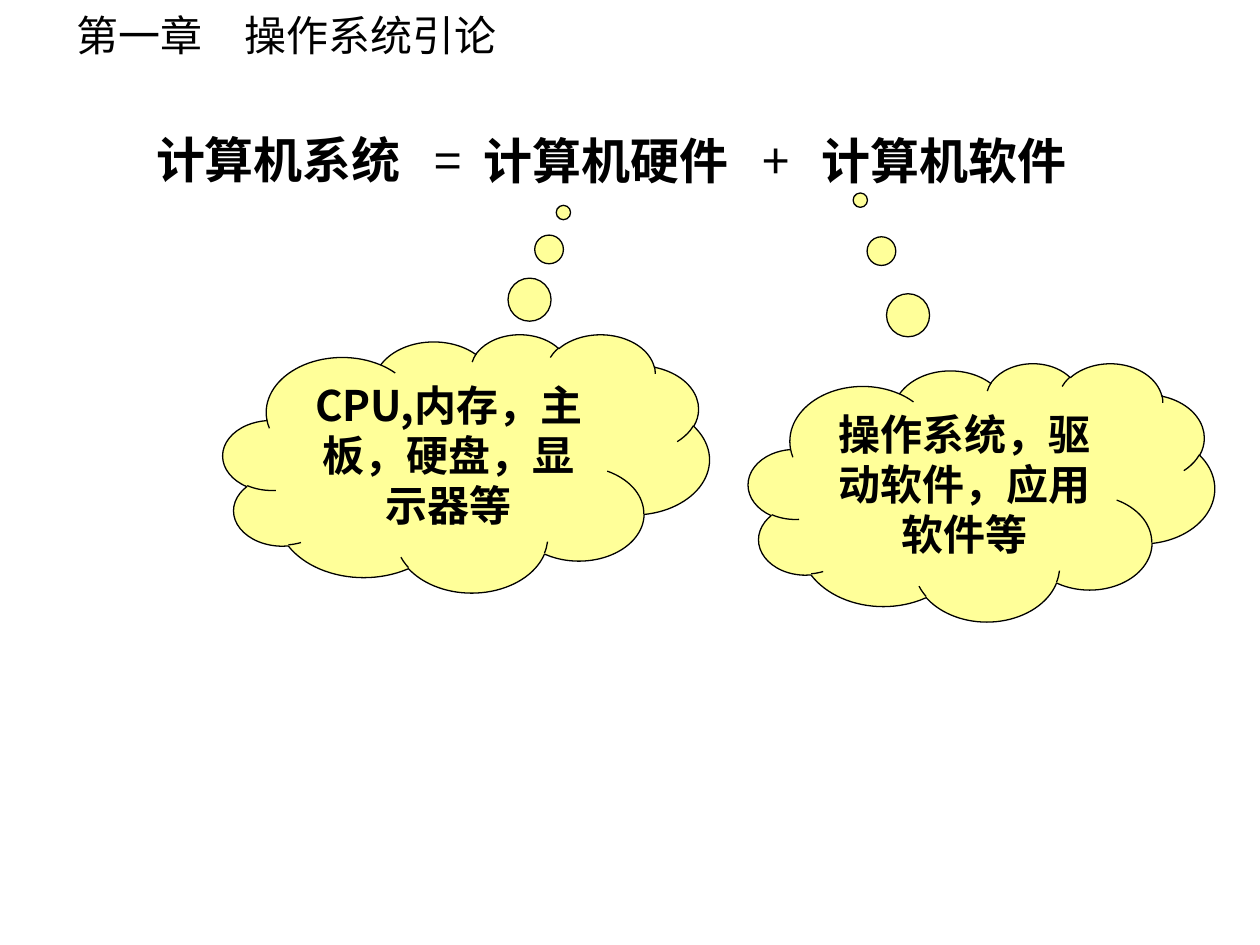
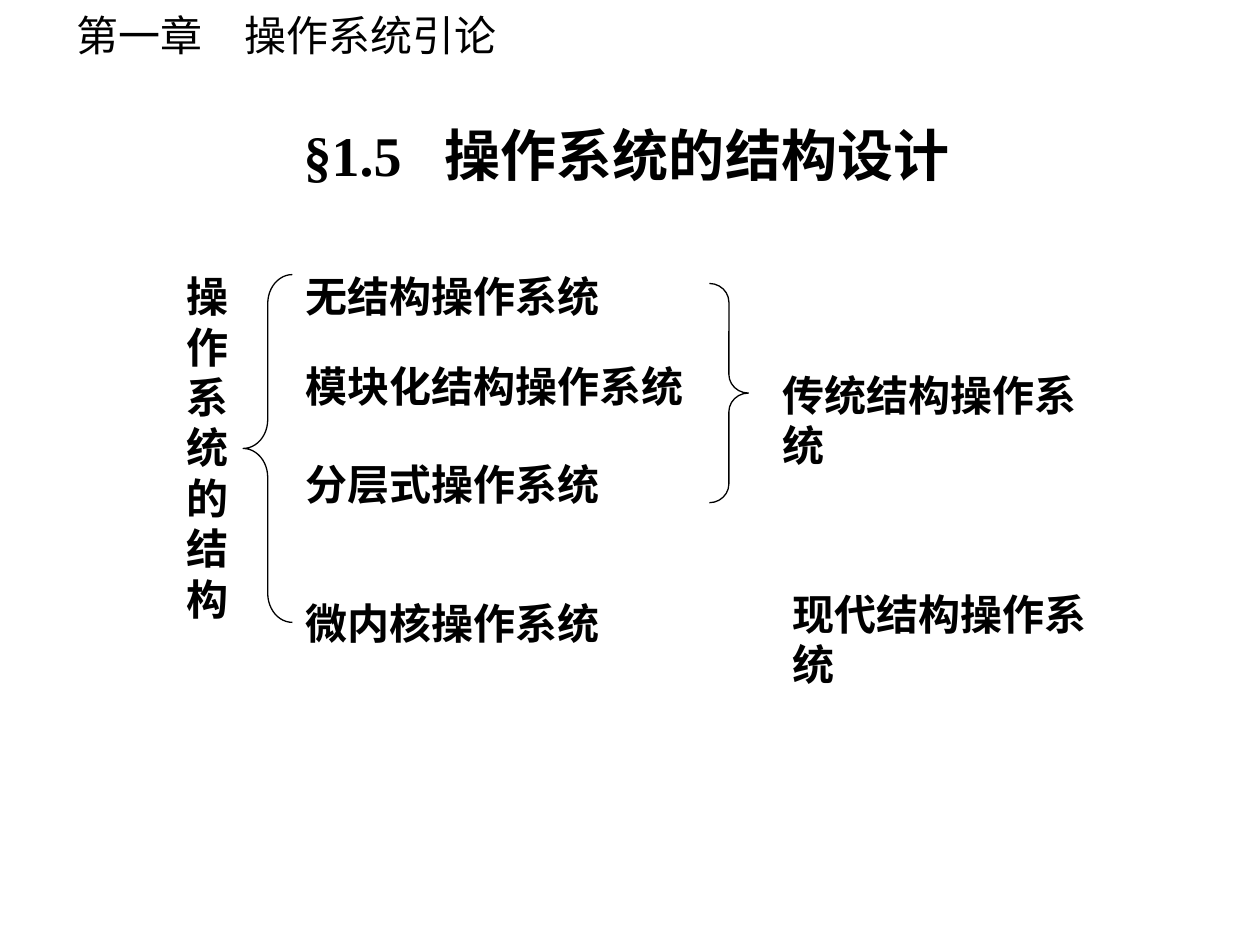
import pptx
import pptx.util
import pptx.dml.color
import pptx.enum.shapes
import pptx.enum.text
import pptx.oxml
import pptx.oxml.ns
import lxml.etree

WIDE, HIGH = pptx.util.Inches(10), pptx.util.Inches(7.5)
COLS, ROWS = 100, 75
SANS, SERIF = "Noto Sans CJK SC", "Times New Roman"
BLACK, CREAM = "000000", "FFFF99"
KIND = pptx.enum.shapes.MSO_SHAPE
ALIGN = pptx.enum.text.PP_ALIGN


def hue(code):
    return pptx.dml.color.RGBColor.from_string(code)


def area(col, row, cols, rows):
    return (int(col * WIDE / COLS), int(row * HIGH / ROWS),
            int(cols * WIDE / COLS), int(rows * HIGH / ROWS))


def add_run(para, text, size, face, bold):
    run = para.add_run()
    run.text = text
    font = run.font
    font.size = pptx.util.Pt(size)
    font.bold = bold
    font.color.rgb = hue(BLACK)
    font.name = face
    east = lxml.etree.SubElement(run._r.get_or_add_rPr(), pptx.oxml.ns.qn("a:ea"))
    east.set("typeface", SANS)


def set_text(shape, runs, size, bold=True, wrap=True, align=ALIGN.LEFT):
    frame = shape.text_frame
    frame.word_wrap = wrap
    para = frame.paragraphs[0]
    para.alignment = align
    for text, face in runs:
        add_run(para, text, size, face, bold)


def grow(shape):
    frame = shape.text_frame
    frame.auto_size = pptx.enum.text.MSO_AUTO_SIZE.SHAPE_TO_FIT_TEXT
    frame.vertical_anchor = pptx.enum.text.MSO_ANCHOR.TOP


def add_text(slide, place, text, size=24, face=SERIF, bold=True, wrap=False):
    box = slide.shapes.add_textbox(*area(*place))
    set_text(box, [(text, face)], size, bold, wrap)
    grow(box)
    return box


def add_form(slide, kind, place, bends, fill=None):
    form = slide.shapes.add_shape(kind, *area(*place))
    form.shadow.inherit = False
    for spot, bend in enumerate(bends):
        form.adjustments[spot] = bend
    if fill:
        form.fill.solid()
        form.fill.fore_color.rgb = hue(fill)
    else:
        form.fill.background()
    form.line.color.rgb = hue(BLACK)
    form.line.width = pptx.util.Pt(0.75)
    return form


def add_cloud(slide, place, tail, text, face):
    cloud = add_form(slide, KIND.CLOUD_CALLOUT, place, tail, CREAM)
    set_text(cloud, [(text, face)], 24, align=ALIGN.CENTER)
    cloud.text_frame.vertical_anchor = pptx.enum.text.MSO_ANCHOR.TOP


def set_title(slide, place, mark, tab, runs):
    title = slide.shapes.title
    title.left, title.top, title.width, title.height = area(*place)
    props = title.text_frame.paragraphs[0]._p.get_or_add_pPr()
    stops = lxml.etree.SubElement(props, pptx.oxml.ns.qn("a:tabLst"))
    stop = lxml.etree.SubElement(stops, pptx.oxml.ns.qn("a:tab"))
    stop.set("pos", str(int(tab * WIDE / COLS)))
    stop.set("algn", "l")
    set_text(title, [(mark + "\t", SERIF)] + runs, 32, wrap=False)
    grow(title)


def add_head(deck, slide):
    head = add_text(slide, (5.1, 0.3, 36.1, 5), "第一章　操作系统引论",
                    face=SANS, bold=False)
    deck.slide_master.shapes.element.append(head.element)


def draw_sum(slide):
    terms = [("计算机系统", 11.4, 22.1), ("=", 33.5, 4.6), ("计算机硬件", 37.4, 22.1),
             ("+", 59.5, 4.7), ("计算机软件", 64.2, 22.9)]
    for text, col, cols in terms:
        row = 9.8 if col == terms[0][1] else 9.9
        add_text(slide, (col, row, cols, 5.7), text, 28, SANS, len(text) > 1, True)
    add_cloud(slide, (17.7, 26.5, 38.6, 20.5), (0.2, -0.97),
              "CPU,内存，主板，硬盘，显示器等", SANS)
    add_cloud(slide, (59.4, 28.8, 37, 20.5), (-0.26, -1.13),
              "操作系统，驱动软件，应用软件等", SERIF)


def draw_tree(slide):
    set_title(slide, (23.1, 9.1, 54.1, 6.4), "§1.5", 11.2,
              [("操作系统的", SERIF), ("结构设计", SANS)])
    add_text(slide, (13.8, 21, 5.5, 29), "操作系统的结构", wrap=True)
    add_form(slide, KIND.LEFT_BRACE, (19.3, 21.8, 3.9, 27.6), (0.59, 0.5))
    kinds = [("无结构操作系统", 21, 25.3), ("模块化结构操作系统", 28.1, 32),
             ("分层式操作系统", 35.9, 25.3), ("微内核操作系统", 46.9, 25.3)]
    for text, row, cols in kinds:
        add_text(slide, (23.3, row, cols, 5), text)
    add_form(slide, KIND.RIGHT_BRACE, (56.3, 22.5, 3.1, 17.4), (0.48, 0.5))
    add_text(slide, (61.1, 28.8, 28.6, 5), "传统结构操作系统")
    add_text(slide, (61.9, 46.2, 28.6, 5), "现代结构操作系统")


def main():
    deck = pptx.Presentation()
    deck.slide_width, deck.slide_height = WIDE, HIGH
    first = deck.slides.add_slide(deck.slide_layouts[6])
    add_head(deck, first)
    draw_sum(first)
    draw_tree(deck.slides.add_slide(deck.slide_layouts[5]))
    deck.save("out.pptx")


if __name__ == "__main__":
    main()
